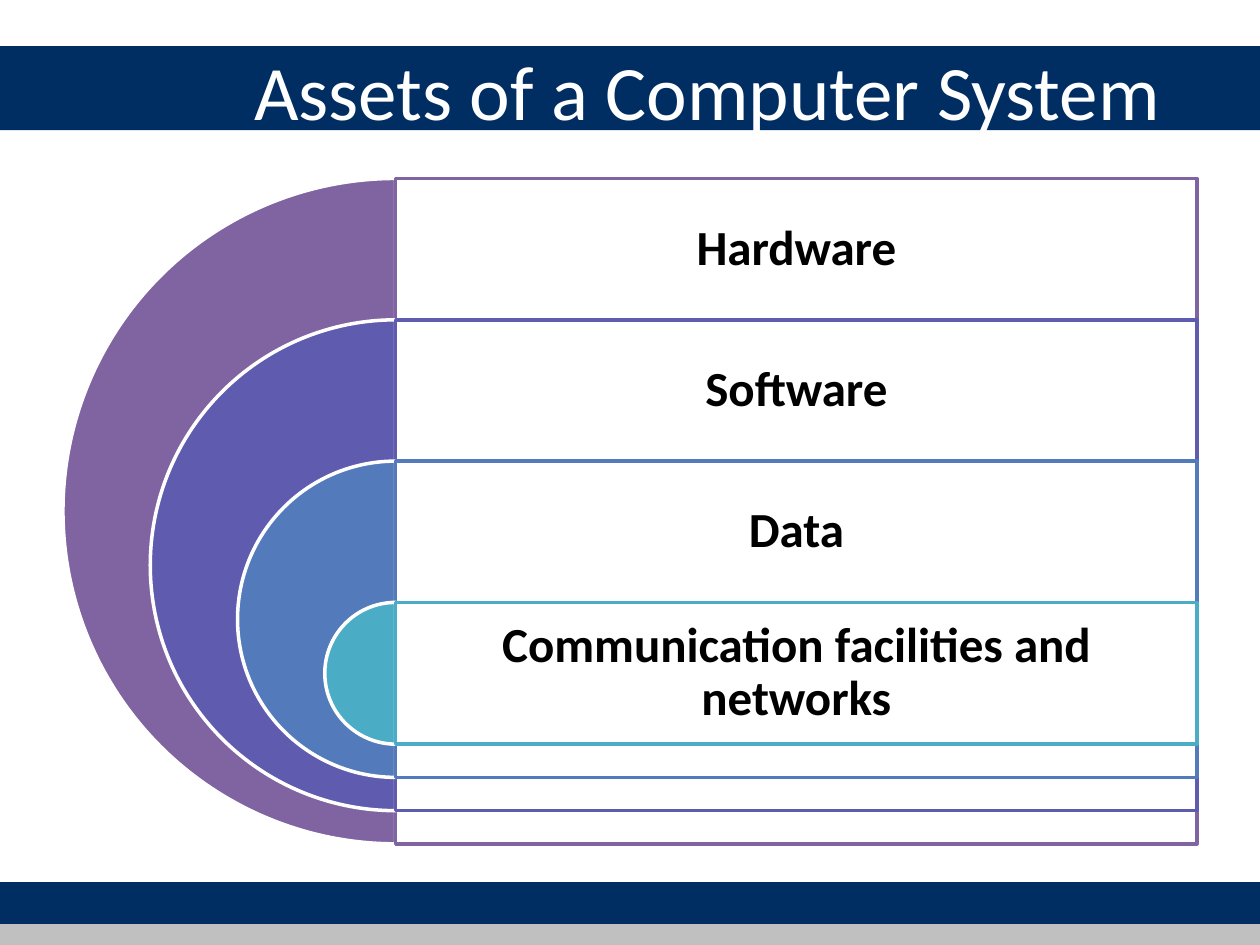
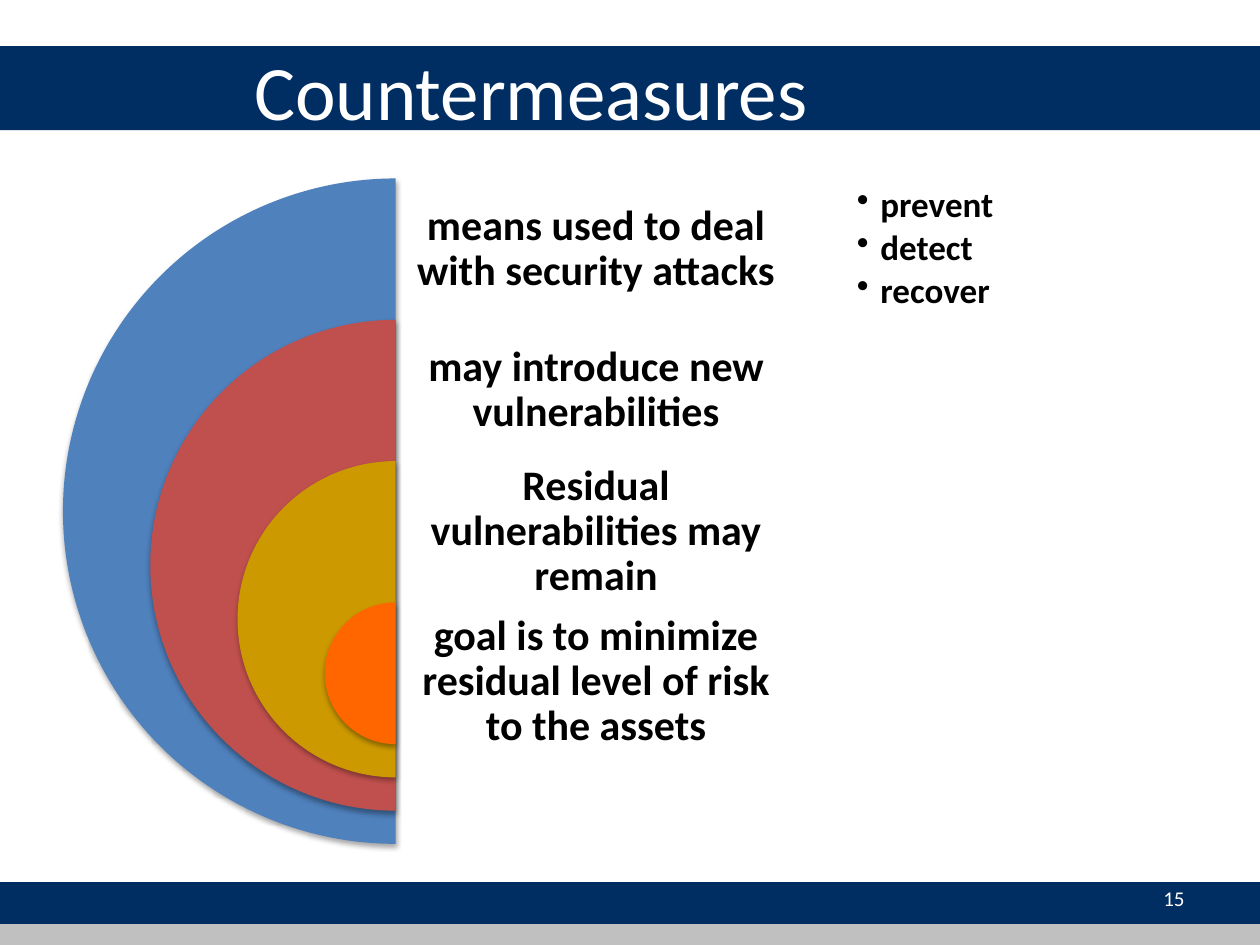
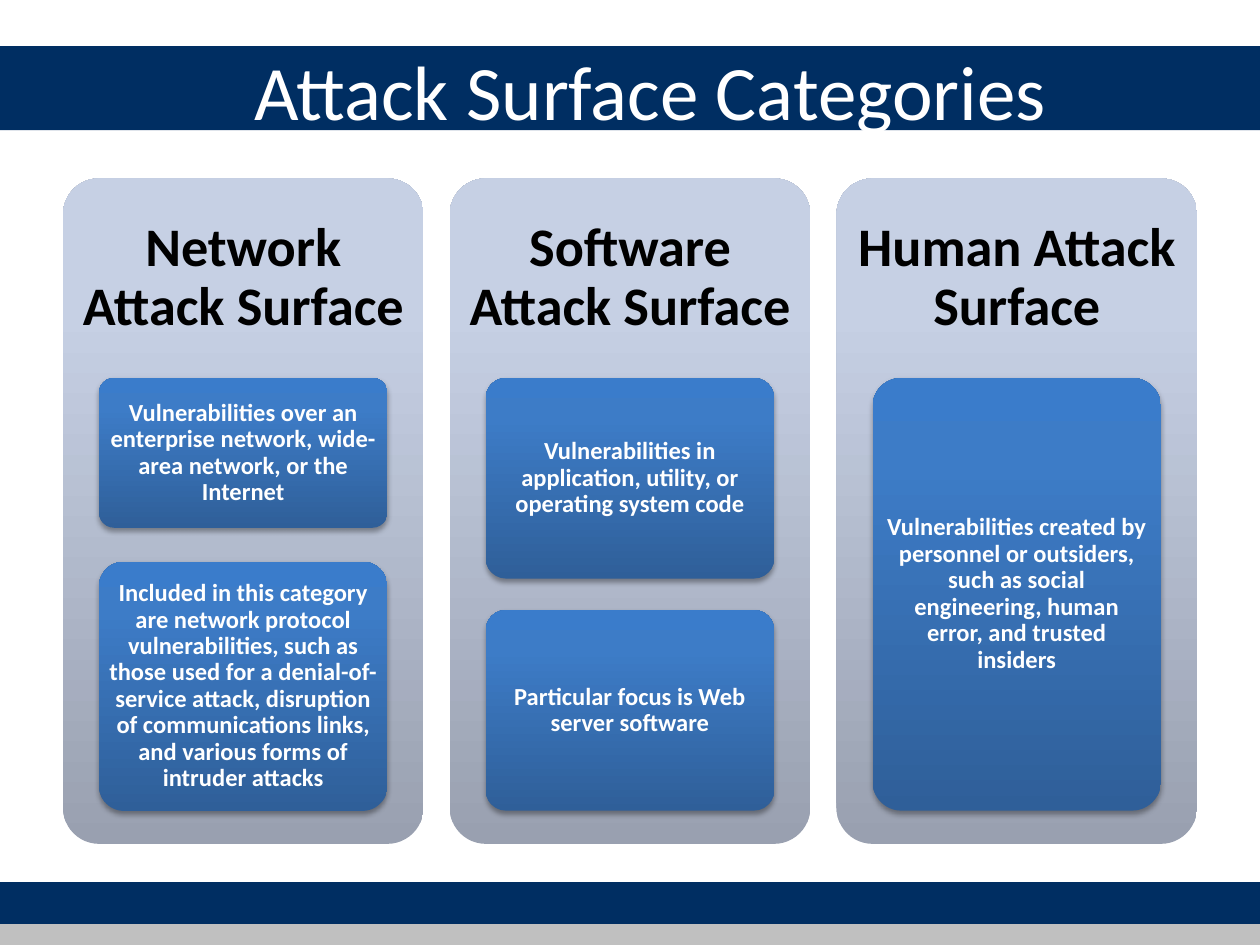
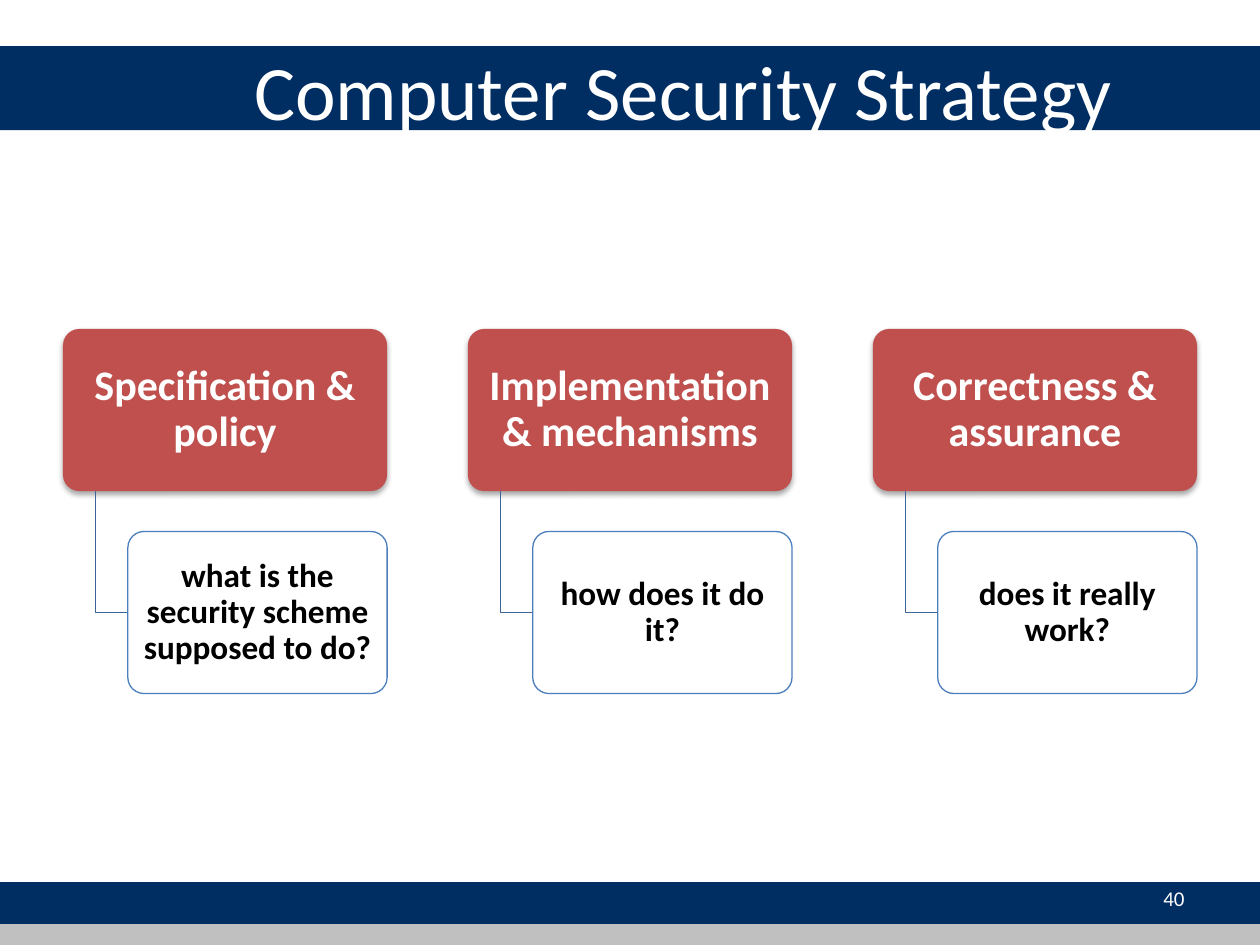
from copy import deepcopy
from dataclasses import dataclass
from typing import NamedTuple

from lxml.etree import SubElement
from pptx import Presentation
from pptx.dml.color import RGBColor
from pptx.enum.shapes import MSO_SHAPE
from pptx.enum.text import MSO_ANCHOR, PP_ALIGN
from pptx.oxml.ns import qn
from pptx.util import Pt

RECTANGLE = MSO_SHAPE.RECTANGLE
ROUNDED = MSO_SHAPE.ROUNDED_RECTANGLE
PIE = MSO_SHAPE.PIE
MIDDLE = MSO_ANCHOR.MIDDLE
LEFT, CENTER, RIGHT = PP_ALIGN.LEFT, PP_ALIGN.CENTER, PP_ALIGN.RIGHT

FONT = "Calibri"
COLORS = {
    "navy": "002E62",
    "silver": "C0C0C0",
    "white": "FFFFFF",
    "black": "000000",
    "purple": "8064A2",
    "indigo": "5F5BAE",
    "steel": "537ABA",
    "teal": "4BACC6",
    "blue": "4F81BD",
    "red": "C0504D",
    "gold": "CC9900",
    "orange": "FF6600",
    "outline": "4B7EBC",
    "elbow": "3B6596",
    "column_dark": "99A0B0",
    "column_mid": "C6D0E4",
    "column_light": "C6D1E6",
    "card_dark": "2F5F99",
    "card_mid": "3D7CC7",
    "card_light": "3A7CCB",
}
COLUMN_GRADIENT = ("column_dark", "column_mid", "column_light")
CARD_GRADIENT = ("card_dark", "card_mid", "card_light")
GRADIENT_POSITIONS = (0, 0.8, 1)


class Box(NamedTuple):
    left: float
    top: float
    width: float
    height: float


class Margins(NamedTuple):
    left: float
    top: float
    right: float
    bottom: float


@dataclass(frozen=True)
class Band:
    box: Box
    color: str


@dataclass(frozen=True)
class Ring:
    text: str
    color: str
    label_shift: float = 0


@dataclass(frozen=True)
class Card:
    text: str
    top: float
    height: float
    inset: float = 5.5


@dataclass(frozen=True)
class Column:
    heading: str
    cards: tuple[Card, ...]


@dataclass(frozen=True)
class Strategy:
    heading: str
    question: str


BANDS = (
    Band(Box(0, 504, 720, 24), "navy"),
    Band(Box(0, 26.4, 720, 48), "navy"),
    Band(Box(0, 528, 720, 12), "silver"),
)
TITLE_BOX = Box(138, 6, 570, 90)
NUMBER_BOX = Box(516, 499, 168, 28.8)
DEFAULT_MARGINS = Margins(7.2, 3.6, 7.2, 3.6)

CONTENT_LEFT, CONTENT_TOP = 36, 102
CONTENT_WIDTH, CONTENT_HEIGHT = 648, 380.25
RING_STEP = 80.75
RING_SHRINK = 99.75
RING_CENTER = CONTENT_LEFT + CONTENT_HEIGHT / 2
PANEL_WIDTH = CONTENT_LEFT + CONTENT_WIDTH - RING_CENTER

CORNER = 0.1
CORNER_TEXT_INSET = 0.29

ASSETS = (
    Ring("Hardware", "purple"),
    Ring("Software", "indigo"),
    Ring("Data", "steel"),
    Ring("Communication facilities and networks", "teal"),
)
COUNTERMEASURES = (
    Ring("means used to deal with security attacks", "blue"),
    Ring("may introduce new vulnerabilities", "red"),
    Ring("Residual vulnerabilities may remain", "gold"),
    Ring("goal is to minimize residual level of risk to the assets", "orange", 5),
)
MEANS = ("prevent", "detect", "recover")
COLUMNS = (
    Column("Network Attack Surface", (
        Card("Vulnerabilities over an enterprise network, wide-area network, "
             "or the Internet", 216, 85.6),
        Card("Included in this category are network protocol vulnerabilities, "
             "such as those used for a denial-of-service attack, disruption of "
             "communications links, and various forms of intruder attacks", 321, 142.4),
    )),
    Column("Software Attack Surface", (
        Card("Vulnerabilities in application, utility, or operating system code",
             216, 114.6),
        Card("Particular focus is Web server software", 348.6, 114.6),
    )),
    Column("Human Attack Surface", (
        Card("Vulnerabilities created by personnel or outsiders, such as social "
             "engineering, human error, and trusted insiders", 216, 247.2, 7.2),
    )),
)
STRATEGIES = (
    Strategy("Specification & policy", "what is the security scheme supposed to do?"),
    Strategy("Implementation & mechanisms", "how does it do it?"),
    Strategy("Correctness & assurance", "does it really work?"),
)


def rgb(name: str) -> RGBColor:
    return RGBColor.from_string(COLORS[name])


def place(box: Box) -> tuple[Pt, ...]:
    return tuple(Pt(length) for length in box)


def write_text(shape, *texts: str, size: float, color: str = "black",
               bold: bool = True, align=CENTER, margins: Margins = DEFAULT_MARGINS,
               line_spacing: float = 0.9, space_after: float = 0, level: int = 0) -> None:
    frame = shape.text_frame
    frame.word_wrap = True
    frame.vertical_anchor = MIDDLE
    frame.margin_left, frame.margin_top, frame.margin_right, frame.margin_bottom = (
        Pt(margin) for margin in margins)
    for index, text in enumerate(texts):
        paragraph = frame.add_paragraph() if index else frame.paragraphs[0]
        paragraph.alignment = align
        paragraph.line_spacing = line_spacing
        paragraph.space_after = Pt(space_after)
        paragraph.level = level
        run = paragraph.add_run()
        run.text = text
        run.font.name = FONT
        run.font.size = Pt(size)
        run.font.bold = bold
        run.font.color.rgb = rgb(color)


def add_bullets(shape, indent: float) -> None:
    for properties in shape.element.iter(qn("a:pPr")):
        properties.set("marL", str(Pt(indent)))
        properties.set("indent", str(-Pt(indent)))
        SubElement(properties, qn("a:buChar"), char="•")


def set_opacity(shape, percent: int) -> None:
    color = shape.element.spPr.find(qn("a:solidFill"))[0]
    SubElement(color, qn("a:alpha"), val=str(percent * 1000))


def add_shadow(shape) -> None:
    effects = shape.element.spPr.find(qn("a:effectLst"))
    shadow = SubElement(effects, qn("a:outerShdw"), blurRad=str(Pt(3.1)),
                        dist=str(Pt(1.8)), dir="5400000", rotWithShape="0")
    color = SubElement(shadow, qn("a:srgbClr"), val=COLORS["black"])
    SubElement(color, qn("a:alpha"), val="35000")


def fill_gradient(shape, colors: tuple[str, ...]) -> None:
    shape.fill.gradient()
    shape.fill.gradient_angle = 90
    stops = next(shape.element.iter(qn("a:gsLst")))
    stops.append(deepcopy(stops[-1]))
    for stop, color, position in zip(shape.fill.gradient_stops, colors, GRADIENT_POSITIONS):
        stop.color.rgb = rgb(color)
        stop.position = position


def add_shape(shapes, kind, box: Box, *, fill: str | None = None,
              line: str | None = None, line_width: float = 0.75, shadow: bool = False):
    shape = shapes.add_shape(kind, *place(box))
    shape.shadow.inherit = False
    if fill:
        shape.fill.solid()
        shape.fill.fore_color.rgb = rgb(fill)
    if line:
        shape.line.color.rgb = rgb(line)
        shape.line.width = Pt(line_width)
    else:
        shape.line.fill.background()
    if shadow:
        add_shadow(shape)
    return shape


def add_rounded(shapes, box: Box, text: str, *, size: float, inset: float,
                color: str = "white", bottom: float = 0, fill: str | None = None,
                line: str | None = None, shadow: bool = False):
    shape = add_shape(shapes, ROUNDED, box, fill=fill, line=line, shadow=shadow)
    shape.adjustments[0] = CORNER
    margin = inset - CORNER * CORNER_TEXT_INSET * min(box.width, box.height)
    write_text(shape, text, size=size, color=color,
               margins=Margins(margin, margin, margin, margin + bottom))
    return shape


def add_half_disc(shapes, index: int, color: str, *, line: str | None = None,
                  shadow: bool = False) -> Box:
    diameter = CONTENT_HEIGHT - index * RING_SHRINK
    top = CONTENT_TOP + index * RING_STEP
    box = Box(RING_CENTER - diameter / 2, top, diameter, diameter)
    disc = add_shape(shapes, PIE, box, fill=color, line=line, line_width=2, shadow=shadow)
    disc.adjustments[0], disc.adjustments[1] = 54, 162
    return Box(RING_CENTER, top, PANEL_WIDTH, diameter)


def add_titled_slide(presentation, title: str, number: str | None = None):
    slide = presentation.slides.add_slide(presentation.slide_layouts[5])
    placeholder = slide.shapes.title
    placeholder.left, placeholder.top, placeholder.width, placeholder.height = place(TITLE_BOX)
    write_text(placeholder, title, size=44, color="white", bold=False, align=LEFT,
               line_spacing=1)
    if number:
        number_box = slide.shapes.add_textbox(*place(NUMBER_BOX))
        write_text(number_box, number, size=12, color="white", bold=False, align=RIGHT,
                   line_spacing=1)
    return slide


def move_bands_to_layout(slide) -> None:
    tree = slide.slide_layout.shapes.element
    for position, band in enumerate(BANDS, start=2):
        shape = add_shape(slide.shapes, RECTANGLE, band.box, fill=band.color)
        tree.insert(position, shape.element)


def build_assets(presentation) -> None:
    slide = add_titled_slide(presentation, "Assets of a Computer System")
    move_bands_to_layout(slide)
    shapes = slide.shapes.add_group_shape().shapes
    for index, ring in enumerate(ASSETS):
        box = add_half_disc(shapes, index, ring.color, line="white")
        panel = add_shape(shapes, RECTANGLE, box, fill="white", line=ring.color, line_width=2)
        set_opacity(panel, 90)
        label = shapes.add_textbox(*place(box._replace(height=RING_STEP)))
        write_text(label, ring.text, size=28, margins=Margins(8.4, 8.4, 8.4, 8.4))


def build_countermeasures(presentation) -> None:
    shapes = add_titled_slide(presentation, "Countermeasures", "15").shapes
    inset = 6
    for index, ring in enumerate(COUNTERMEASURES):
        box = add_half_disc(shapes, index, ring.color, shadow=True)
        label = shapes.add_textbox(*place(box._replace(top=box.top + ring.label_shift)))
        write_text(label, ring.text, size=24,
                   margins=Margins(inset, inset, PANEL_WIDTH / 2 + inset,
                                   box.height - RING_STEP + inset))
    means = shapes.add_textbox(*place(Box(484.6, CONTENT_TOP, 114.5, RING_STEP)))
    write_text(means, *MEANS, size=20, align=LEFT, margins=Margins(5, 5, 5, 5),
               space_after=3, level=1)
    add_bullets(means, 13.5)


def build_attack_surfaces(presentation) -> None:
    shapes = add_titled_slide(presentation, "Attack Surface Categories").shapes
    width = 206
    pitch = (CONTENT_WIDTH - width) / (len(COLUMNS) - 1)
    for index, column in enumerate(COLUMNS):
        left = CONTENT_LEFT + index * pitch
        box = Box(left, CONTENT_TOP, width, CONTENT_HEIGHT)
        background = add_rounded(shapes, box, column.heading, size=31, inset=9.2,
                                 color="black", bottom=0.7 * CONTENT_HEIGHT)
        fill_gradient(background, COLUMN_GRADIENT)
        for card in column.cards:
            card_box = Box(left + 0.1 * width, card.top, 0.8 * width, card.height)
            shape = add_rounded(shapes, card_box, card.text, size=14, inset=card.inset,
                                shadow=True)
            fill_gradient(shape, CARD_GRADIENT)


def add_elbow(shapes, left: float, top: float, right: float, bottom: float) -> None:
    builder = shapes.build_freeform(Pt(left), Pt(top))
    builder.add_line_segments([(Pt(left), Pt(bottom)), (Pt(right), Pt(bottom))], close=False)
    elbow = builder.convert_to_shape()
    elbow.shadow.inherit = False
    elbow.fill.background()
    elbow.line.color.rgb = rgb("elbow")
    elbow.line.width = Pt(0.75)


def build_strategy(presentation) -> None:
    shapes = add_titled_slide(presentation, "Computer Security Strategy", "40").shapes
    width, height = 185.2, 92.6
    heading_top, question_top = 188, 303.7
    pitch = (CONTENT_WIDTH - width) / (len(STRATEGIES) - 1)
    for index, strategy in enumerate(STRATEGIES):
        left = CONTENT_LEFT + index * pitch
        question_left = left + 0.2 * width
        add_rounded(shapes, Box(left, heading_top, width, height), strategy.heading,
                    size=24, inset=6, fill="red", shadow=True)
        add_elbow(shapes, left + 0.1 * width, heading_top + height,
                  question_left, question_top + height / 2)
        question = add_rounded(shapes, Box(question_left, question_top, 0.8 * width, height),
                               strategy.question, size=19, inset=5.5, color="black",
                               fill="white", line="outline")
        set_opacity(question, 90)


def main() -> None:
    presentation = Presentation()
    presentation.slide_width, presentation.slide_height = Pt(720), Pt(540)
    build_assets(presentation)
    build_countermeasures(presentation)
    build_attack_surfaces(presentation)
    build_strategy(presentation)
    presentation.save("out.pptx")


if __name__ == "__main__":
    main()
